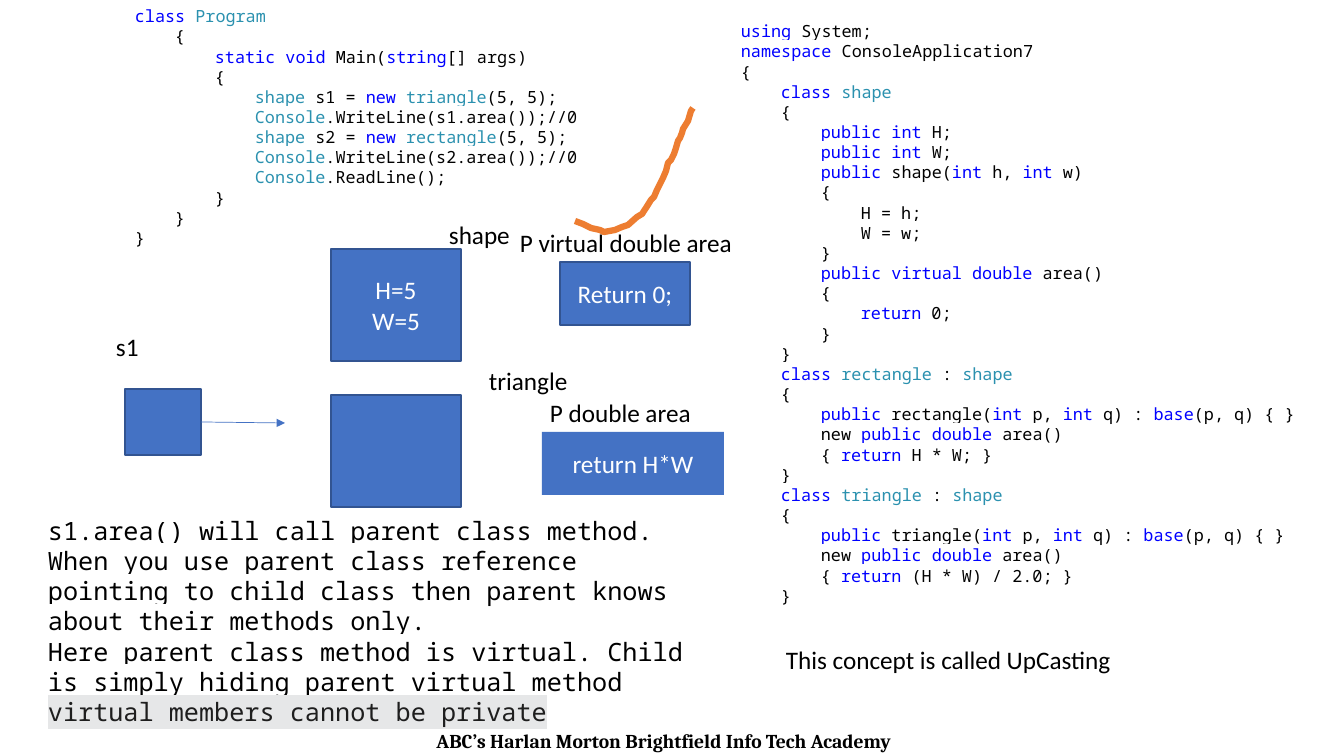
from dataclasses import dataclass
from itertools import groupby
from lxml.etree import SubElement
from pptx import Presentation
from pptx.dml.color import RGBColor
from pptx.enum.shapes import MSO_CONNECTOR, MSO_SHAPE
from pptx.enum.text import MSO_ANCHOR, PP_ALIGN
from pptx.oxml.ns import qn
from pptx.util import Emu, Pt

PX = 914400 / 100.8


@dataclass(frozen=True)
class Theme:
    black: str = "000000"
    white: str = "FFFFFF"
    keyword: str = "0000FF"
    type_name: str = "2B91AF"
    block: str = "4472C4"
    block_edge: str = "325491"
    stroke: str = "ED7D31"
    note_ink: str = "1E1E1E"
    note_fill: str = "E6E7E8"
    sans: str = "Calibri"
    serif: str = "Cambria"
    mono: str = "Noto Sans Mono"
    code_size: int = 12
    footer_size: int = 14
    body_size: int = 18


THEME = Theme()
CODE_INDENT = 40

KEYWORDS = set("using namespace class public int virtual double return base static void string new".split())
TYPES = {"shape", "rectangle", "triangle", "Program", "Console"}

MAIN_CODE = """class Program
    {
        static void Main(string[] args)
        {
            shape s1 = new triangle(5, 5);
            Console.WriteLine(s1.area());//0
            shape s2 = new rectangle(5, 5);
            Console.WriteLine(s2.area());//0
            Console.ReadLine();
        }
    }
}"""

CLASS_CODE = """using System;
namespace ConsoleApplication7
{
    class shape
    {
        public int H;
        public int W;
        public shape(int h, int w)
        {
            H = h;
            W = w;
        }
        public virtual double area()
        {
            return 0;
        }
    }
    class rectangle : shape
    {
        public rectangle(int p, int q) : base(p, q) { }
        new public double area()
        { return H * W; }
    }
    class triangle : shape
    {
        public triangle(int p, int q) : base(p, q) { }
        new public double area()
        { return (H * W) / 2.0; }
    }"""

EXPLANATION = [
    "s1.area() will call parent class method.",
    "When you use parent class reference pointing to child class then parent knows about their methods only.",
    "Here parent class method is virtual. Child is simply hiding parent virtual method",
]

TICK_POINTS = [
    (575, 221), (583, 224), (591, 228), (600, 230), (604, 232), (615, 230), (622, 227),
    (628, 225), (637, 217), (642, 214), (646, 208), (651, 200), (654, 197), (657, 190),
    (663, 178), (666, 171), (668, 163), (671, 160), (674, 154), (676, 148), (678, 141),
    (680, 138), (682, 133), (683, 129), (688, 121), (691, 111), (693, 108),
]


def px(*lengths):
    return [Emu(round(length * PX)) for length in lengths]


def color_of(name):
    return RGBColor.from_string(name)


def add_span(para, text, *, font=THEME.sans, size=THEME.body_size, color=THEME.black,
             bold=False, highlight=None):
    span = para.add_run()
    span.text = text
    span.font.size = Pt(size)
    span.font.bold = bold
    span.font.color.rgb = color_of(color)
    span.font.name = font
    if highlight:
        properties = span.font._element
        mark = SubElement(properties, qn("a:highlight"))
        SubElement(mark, qn("a:srgbClr")).set("val", highlight)
        properties.find(qn("a:solidFill")).addnext(mark)


def next_para(frame):
    first = frame.paragraphs[0]
    return frame.add_paragraph() if first.runs else first


def add_frame(page, box):
    frame = page.shapes.add_textbox(*px(*box)).text_frame
    frame.word_wrap = True
    return frame


def add_label(page, text, box, align=PP_ALIGN.LEFT, **style):
    para = next_para(add_frame(page, box))
    para.alignment = align
    add_span(para, text, **style)


def add_block(page, box, lines=(), edge=True):
    block = page.shapes.add_shape(MSO_SHAPE.RECTANGLE, *px(*box))
    block.shadow.inherit = False
    block.fill.solid()
    block.fill.fore_color.rgb = color_of(THEME.block)
    if edge:
        block.line.color.rgb = color_of(THEME.block_edge)
        block.line.width = Pt(1)
    else:
        block.line.fill.background()
    frame = block.text_frame
    frame.vertical_anchor = MSO_ANCHOR.MIDDLE
    for line in lines:
        para = next_para(frame)
        para.alignment = PP_ALIGN.CENTER
        add_span(para, line, color=THEME.white)


def colored_words(line):
    previous = None
    for is_word, letters in groupby(line, str.isalnum):
        word = "".join(letters)
        color = THEME.black
        if word in KEYWORDS and not (word == "new" and previous is None):
            color = THEME.keyword
        elif word in TYPES and previous != "public":
            color = THEME.type_name
        if is_word:
            previous = word
        yield word, color


def add_code(page, code, box):
    frame = add_frame(page, box)
    for line in code.splitlines():
        text = line.lstrip()
        depth = (len(line) - len(text)) // 4
        para = next_para(frame)
        para._p.get_or_add_pPr().set("marL", str(px(depth * CODE_INDENT)[0]))
        for color, words in groupby(colored_words(text), lambda pair: pair[1]):
            add_span(para, "".join(word for word, _ in words), font=THEME.mono,
                     size=THEME.code_size, color=color, highlight=THEME.white)


def add_reference(page, box):
    left, top, width, height = box
    add_label(page, "s1", (left, top, 46, 40))
    add_block(page, (left + 19, top + 63, 76, 66))
    arrow = page.shapes.add_connector(
        MSO_CONNECTOR.STRAIGHT, *px(left + 95, top + 96, left + width, top + 97))
    arrow.line.color.rgb = color_of(THEME.block)
    arrow.line.width = Pt(0.5)
    SubElement(arrow.line._get_or_add_ln(), qn("a:tailEnd")).set("type", "triangle")
    SubElement(arrow._element.spPr, qn("a:effectLst"))


def add_instance(page, box, name, fields, name_left, method, method_box, body, body_box, edge):
    left, top, width, height = box
    add_block(page, box, fields)
    add_label(page, name, (left + name_left, top - 35, 114, 40))
    for place, (x, y, wide, high) in (("body", body_box), ("method", method_box)):
        area = (left + x, top + y, wide, high)
        if place == "body":
            add_block(page, area, [body], edge)
        else:
            add_label(page, method, area)


def add_tick(page, points):
    builder = page.shapes.build_freeform(*points[0], scale=PX)
    builder.add_line_segments(points[1:], close=False)
    tick = builder.convert_to_shape()
    tick.shadow.inherit = False
    tick.fill.background()
    tick.line.color.rgb = color_of(THEME.stroke)
    tick.line.width = Pt(4.5)


def add_explanation(page, box):
    frame = add_frame(page, box)
    for line in EXPLANATION:
        add_span(next_para(frame), line, font=THEME.mono, highlight=THEME.white)
    add_span(next_para(frame), "virtual members cannot be private", font=THEME.mono,
             color=THEME.note_ink, highlight=THEME.note_fill)


def main():
    deck = Presentation()
    deck.slide_width, deck.slide_height = px(1344, 756)
    page = deck.slides.add_slide(deck.slide_layouts[6])
    add_label(page, "ABC’s Harlan Morton Brightfield Info Tech Academy", (-8, 724, 1344, 34),
              align=PP_ALIGN.CENTER, font=THEME.serif, size=THEME.footer_size, bold=True)
    add_code(page, CLASS_CODE, (731, 16, 582, 664))
    add_code(page, MAIN_CODE, (125, 1, 629, 295))
    add_reference(page, (106, 326, 179, 130))
    add_instance(page, (331, 395, 130, 112), "triangle", [], 148,
                 "P double area", (209, -3, 166, 40), "return H*W", (211, 37, 182, 63), False)
    add_instance(page, (331, 249, 130, 112), "shape", ["H=5", "W=5"], 108,
                 "P virtual double area", (179, -27, 258, 40), "Return 0;", (229, 13, 130, 63), True)
    add_tick(page, TICK_POINTS)
    add_explanation(page, (38, 510, 669, 224))
    add_label(page, "This concept is called UpCasting", (776, 639, 524, 40))
    deck.save("out.pptx")


if __name__ == "__main__":
    main()
